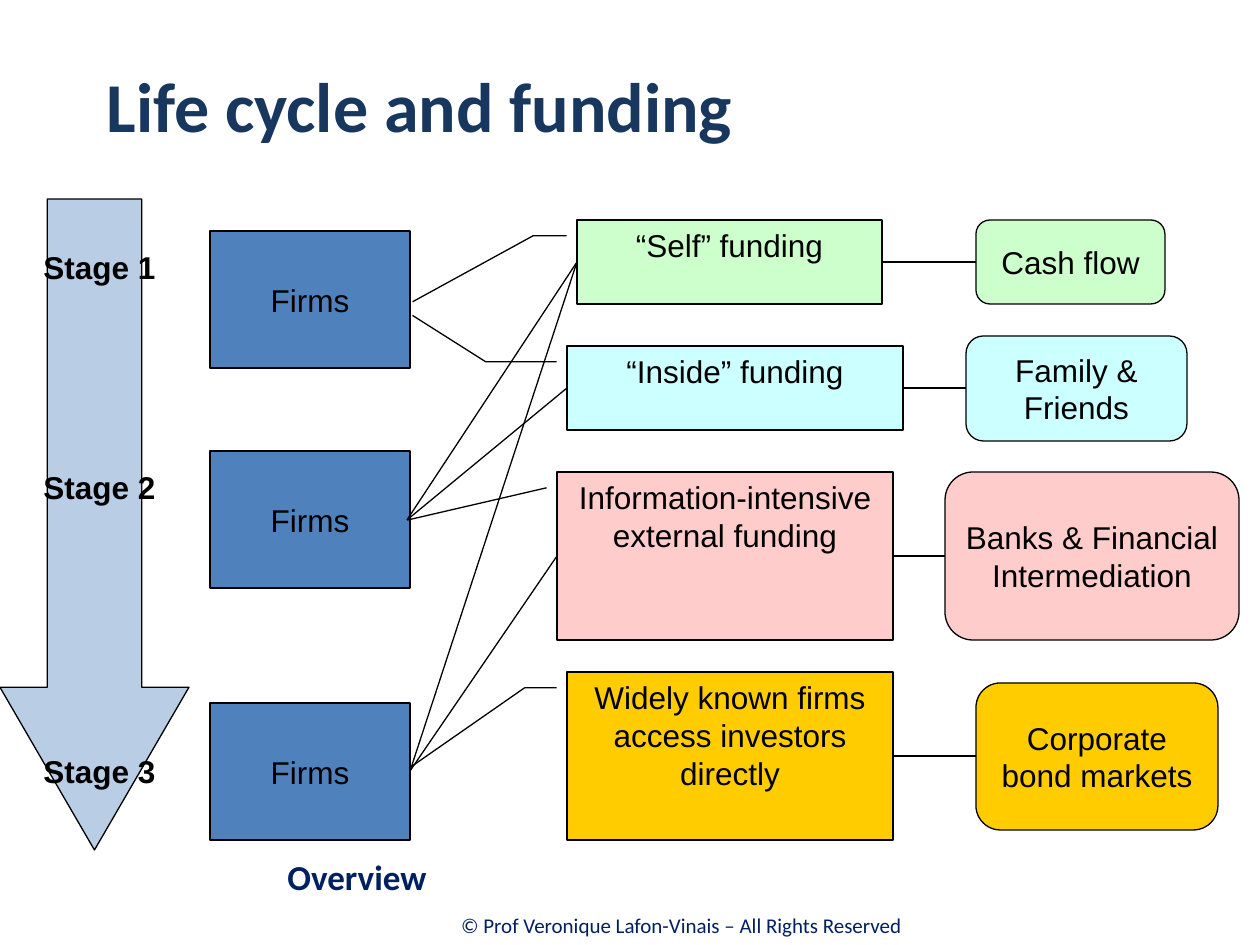
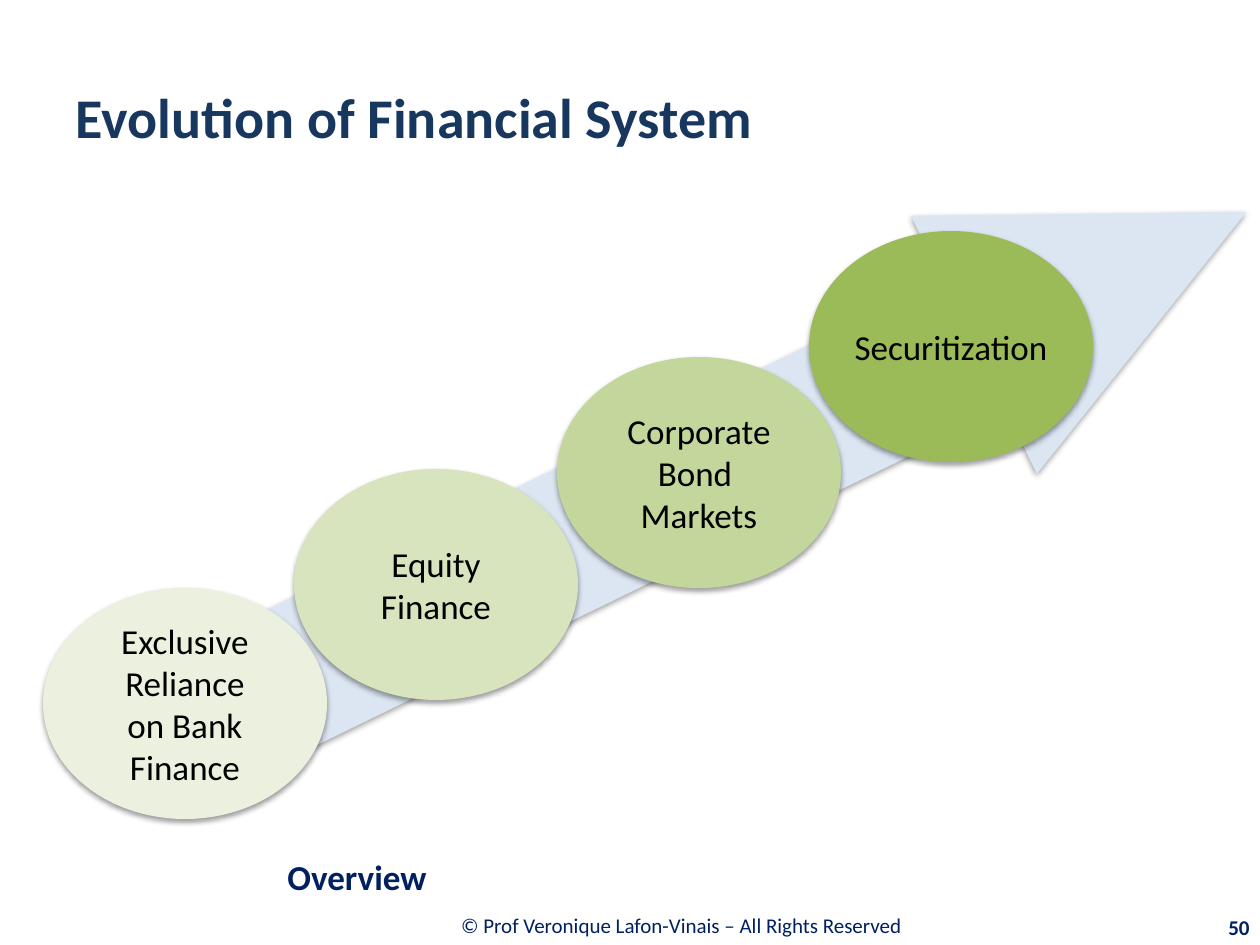
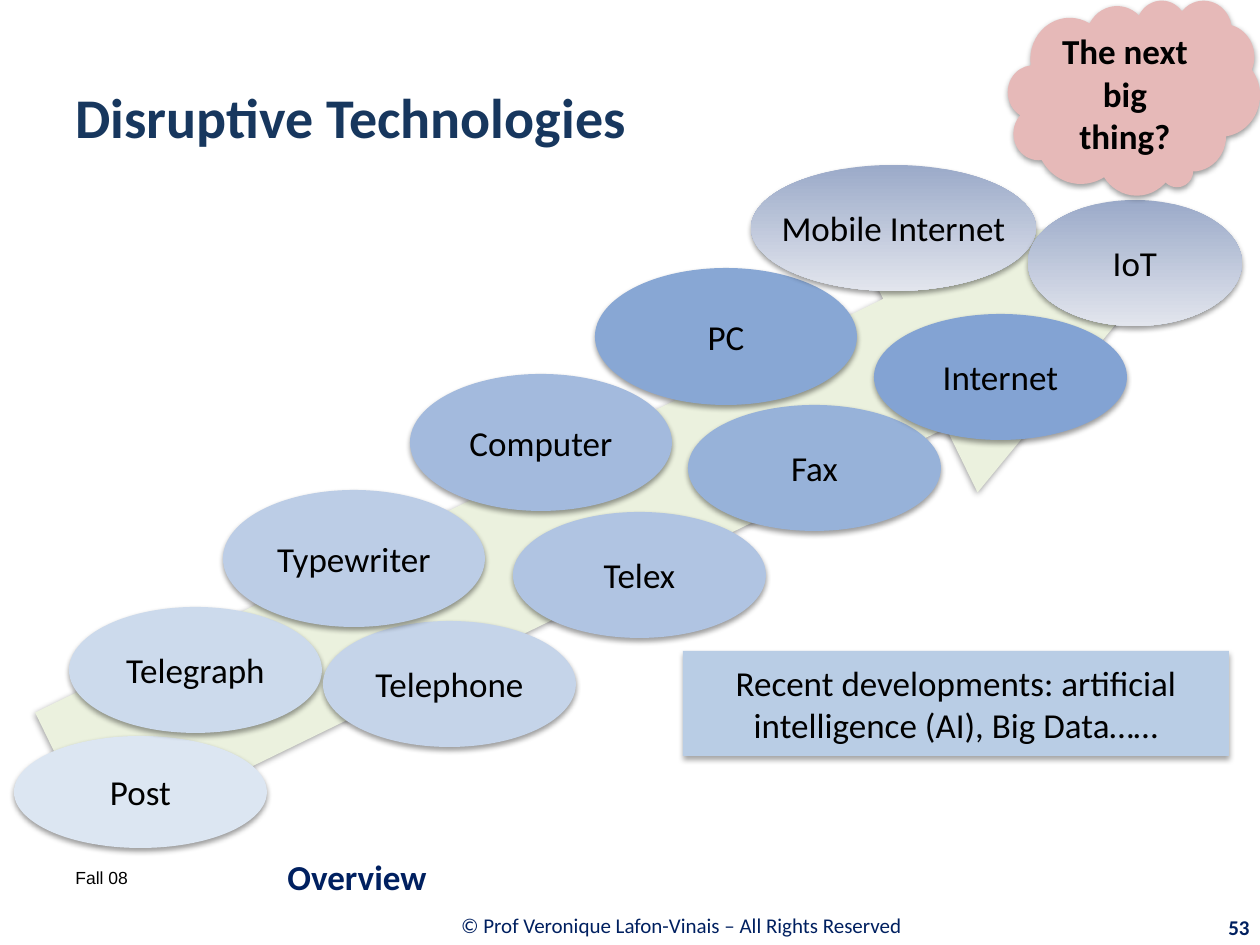
"""Three slides on firm funding, the financial system and disruptive technologies."""
from dataclasses import dataclass

from lxml.etree import SubElement
from pptx import Presentation
from pptx.dml.color import RGBColor as RGB
from pptx.enum.shapes import MSO_CONNECTOR, MSO_SHAPE as SHAPE
from pptx.enum.text import MSO_ANCHOR as ANCHOR, MSO_AUTO_SIZE, PP_ALIGN as ALIGN
from pptx.oxml.ns import qn
from pptx.util import Pt

PX = 914400 / 126


@dataclass(frozen=True)
class Theme:
    head: str = "Calibri"
    body: str = "Arial"
    title: str = "17375E"
    footer: str = "002060"
    ink: str = "000000"
    firm: str = "4F81BD"
    stage: str = "B9CDE5"
    self_fund: str = "CCFFCC"
    inside: str = "CCFFFF"
    external: str = "FFCCCC"
    market: str = "FFCC00"
    pale_blue: str = "DCE6F2"
    pale_green: str = "EBF1DE"
    cloud: str = "E6B9B8"
    mobile: tuple = ("9BAAC9", "E2E5ED")
    big_title: int = 40
    mid_title: int = 32
    large: int = 20
    medium: int = 18
    small: int = 12
    tiny: int = 10


T = Theme()


def write(sp, text, size=T.large, font=T.head, color=T.ink, bold=False,
          align=ALIGN.CENTER, anchor=ANCHOR.MIDDLE, wrap=True):
    tf = sp.text_frame
    tf.word_wrap = wrap
    tf.auto_size = MSO_AUTO_SIZE.NONE
    tf.vertical_anchor = anchor
    tf.text = text
    for p in tf.paragraphs:
        p.alignment = align
        f = p.runs[0].font
        f.size, f.name, f.bold = Pt(size), font, bold
        f.color.rgb = RGB.from_string(color)


def draw(s, kind, box, fill, adj=(), rotation=0, outline=False, alpha=38):
    sp = s.shapes.add_shape(kind, *[int(v * PX) for v in box])
    for i, v in enumerate(adj):
        sp.adjustments[i] = v
    sp.rotation = rotation
    if isinstance(fill, tuple):
        sp.fill.gradient()
        sp.fill.gradient_angle = 270
        for stop, color in zip(sp.fill.gradient_stops, fill):
            stop.color.rgb = RGB.from_string(color)
        sp.fill.gradient_stops[0].position = 0
        sp.fill.gradient_stops[1].position = 1
    else:
        sp.fill.solid()
        sp.fill.fore_color.rgb = RGB.from_string(fill)
    sp.shadow.inherit = False
    if outline:
        sp.line.color.rgb = RGB.from_string(T.ink)
        sp.line.width = Pt(0.75)
    else:
        sp.line.fill.background()
        effects = sp._element.spPr.find(qn("a:effectLst"))
        shadow = SubElement(effects, qn("a:outerShdw"), blurRad="40000", dist="20000",
                            dir="5400000", rotWithShape="0")
        color = SubElement(shadow, qn("a:srgbClr"), val=T.ink)
        SubElement(color, qn("a:alpha"), val=str(alpha * 1000))
    return sp


prs = Presentation()
prs.slide_width, prs.slide_height = int(1260 * PX), int(945 * PX)

pages = [
    ("Life cycle and funding", T.big_title, (94, 21, 1071, 168), ""),
    ("Evolution of Financial System", T.mid_title, (63, 38, 1134, 157), "50"),
    ("Disruptive Technologies", T.mid_title, (63, 38, 1134, 157), "53"),
]
for title, size, box, number in pages:
    s = prs.slides.add_slide(prs.slide_layouts[5])
    sp = s.shapes.title
    sp.left, sp.top, sp.width, sp.height = [int(v * PX) for v in box]
    write(sp, title, size=size, color=T.title, bold=True, align=ALIGN.LEFT)
    notes = [
        ("© Prof Veronique Lafon-Vinais – All Rights Reserved ", (276, 901, 816, 49),
         T.small, False, ALIGN.CENTER),
        ("Overview", (275, 847, 985, 59), T.large, True, ALIGN.LEFT),
        (number, (1135, 907, 127, 40), T.small, True, ALIGN.RIGHT),
    ]
    for text, box, size, bold, align in notes:
        if text:
            sp = s.shapes.add_textbox(*[int(v * PX) for v in box])
            write(sp, text, size=size, color=T.footer, bold=bold, align=align)

funding, evolution, technologies = prs.slides

for top in (231, 451, 703):
    sp = draw(funding, SHAPE.RECTANGLE, (210, top, 200, 137), T.firm, outline=True)
    write(sp, "Firms", size=T.medium, font=T.body, wrap=False)

channels = [
    ("“Self” funding", (577, 220, 305, 84), T.self_fund, SHAPE.LINE_CALLOUT_2,
     (0.188, -0.034, 0.188, -0.144, 0.974, -0.539), "Cash flow", (976, 220, 189, 84)),
    ("“Inside” funding", (567, 346, 336, 84), T.inside, SHAPE.LINE_CALLOUT_2,
     (0.188, -0.031, 0.188, -0.242, -0.365, -0.46), "Family & Friends", (966, 336, 221, 105)),
    ("Information-intensive external funding", (557, 472, 336, 168), T.external,
     SHAPE.LINE_CALLOUT_1, (0.094, -0.031, 0.286, -0.445),
     "Banks & Financial Intermediation", (945, 472, 294, 168)),
    ("Widely known firms access investors directly", (567, 672, 326, 168), T.market,
     SHAPE.LINE_CALLOUT_2, (0.094, -0.032, 0.094, -0.13, 0.572, -0.484),
     "Corporate bond markets", (976, 683, 242, 147)),
]
links = [(407, 520, 567, 388), (407, 520, 577, 262), (410, 771, 557, 556), (410, 771, 577, 262)]
for text, box, fill, kind, adj, provider, provider_box in channels:
    sp = draw(funding, kind, box, fill, adj, outline=True)
    write(sp, text, size=T.medium, font=T.body, anchor=ANCHOR.TOP)
    sp = draw(funding, SHAPE.ROUNDED_RECTANGLE, provider_box, fill, outline=True)
    write(sp, provider, size=T.medium, font=T.body)
    left, top, width, height = box
    middle = top + height // 2
    links.append((left + width, middle, provider_box[0], middle))

for ends in links:
    line = funding.shapes.add_connector(MSO_CONNECTOR.STRAIGHT, *[int(v * PX) for v in ends])
    line.line.color.rgb = RGB.from_string(T.ink)
    line.line.width = Pt(0.75)
    SubElement(line._element.spPr, qn("a:effectLst"))

draw(funding, SHAPE.DOWN_ARROW, (0, 199, 189, 651), T.stage, (0.5, 0.861), outline=True)
for number, top in enumerate((242, 462, 746), 1):
    sp = funding.shapes.add_textbox(*[int(v * PX) for v in (31, top, 158, 63)])
    write(sp, f"Stage {number}", size=T.medium, font=T.body, bold=True,
          align=ALIGN.LEFT, anchor=ANCHOR.TOP)

draw(evolution, SHAPE.RIGHT_ARROW, (92, 335, 1216, 287), T.pale_blue, (0.5, 1.056), 334)
steps = [
    ("Securitization", 809, 231, "9BBB59"),
    ("Corporate\nBond \nMarkets", 557, 357, "C3D69B"),
    ("Exclusive\nReliance\non Bank\nFinance", 43, 588, T.pale_green),
    ("Equity\nFinance", 294, 469, "D7E4BD"),
]
for text, left, top, fill in steps:
    sp = draw(evolution, SHAPE.OVAL, (left, top, 284, 231), fill)
    write(sp, text, wrap=False)

draw(technologies, SHAPE.RIGHT_ARROW, (3, 358, 1257, 287), T.pale_green, (0.5, 1.092), 334)
inventions = [
    ("Post", (14, 736, 253, 112), T.pale_blue),
    ("Telegraph", (69, 607, 253, 126), "CCDAEC"),
    ("Telephone", (323, 621, 253, 126), "C5D4E9"),
    ("Telex", (513, 512, 253, 126), "B0C4E2"),
    ("Fax", (688, 405, 253, 126), "97B2D9"),
    ("Internet", (874, 314, 253, 126), "83A3D3"),
    ("Typewriter", (223, 490, 262, 137), "BCCDE6"),
    ("Computer", (410, 374, 262, 137), "A3BADD"),
    ("PC", (595, 268, 262, 137), "88A7D4"),
    ("Mobile Internet", (751, 165, 285, 126), T.mobile),
    ("IoT", (1028, 200, 214, 126), T.mobile),
]
for text, box, fill in inventions:
    sp = draw(technologies, SHAPE.OVAL, box, fill)
    write(sp, text, wrap=False)

sp = draw(technologies, SHAPE.CLOUD_CALLOUT, (1008, 0, 252, 195), T.cloud, (0.078, 0.172))
write(sp, "The next big thing?", bold=True)
sp = draw(technologies, SHAPE.RECTANGLE, (683, 651, 546, 105), T.stage, alpha=35)
write(sp, "Recent developments: artificial intelligence (AI), Big Data……")
sp = technologies.shapes.add_textbox(*[int(v * PX) for v in (63, 861, 294, 63)])
write(sp, "Fall 08", size=T.tiny, font=T.body, align=ALIGN.LEFT, anchor=ANCHOR.TOP)

prs.save("out.pptx")
